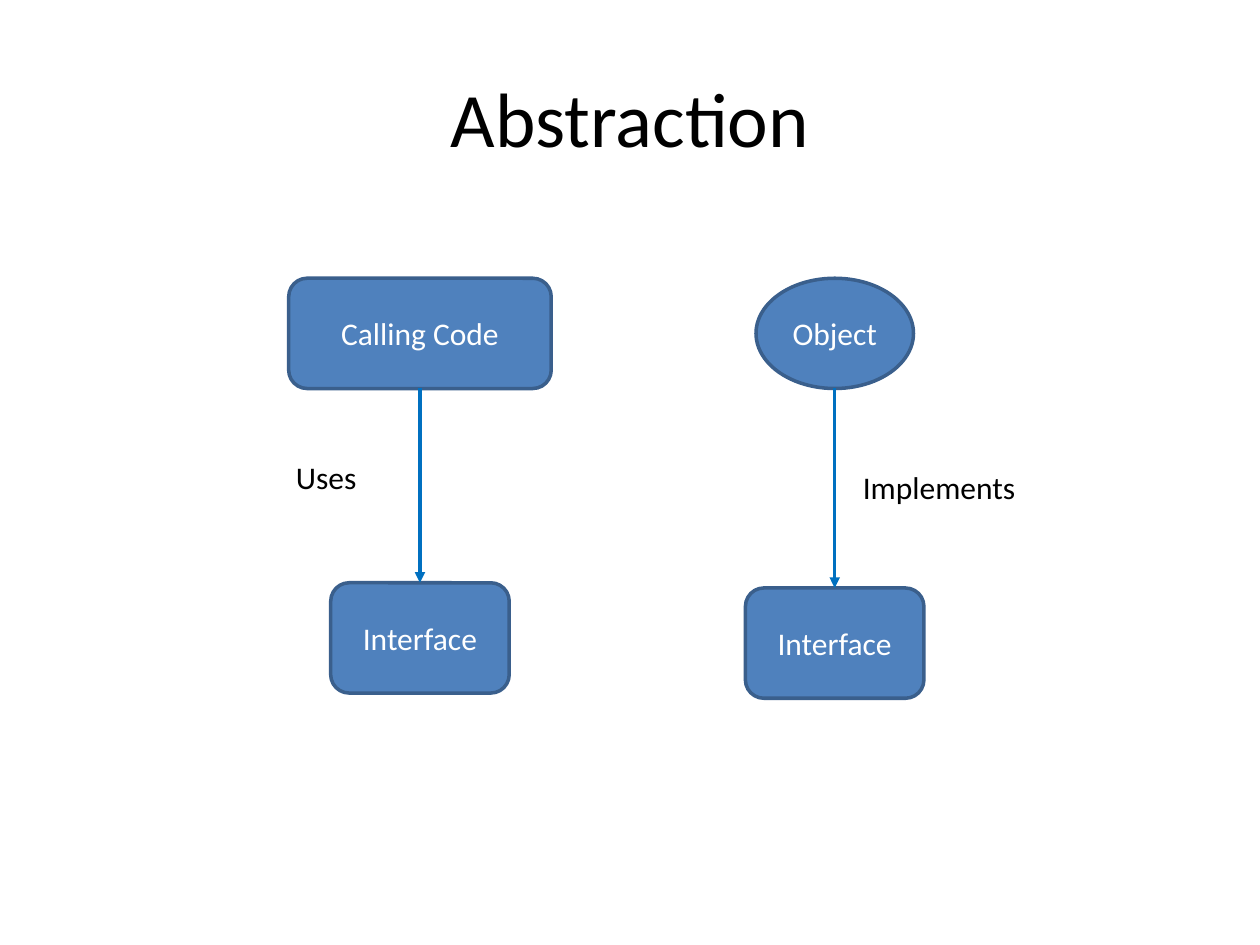
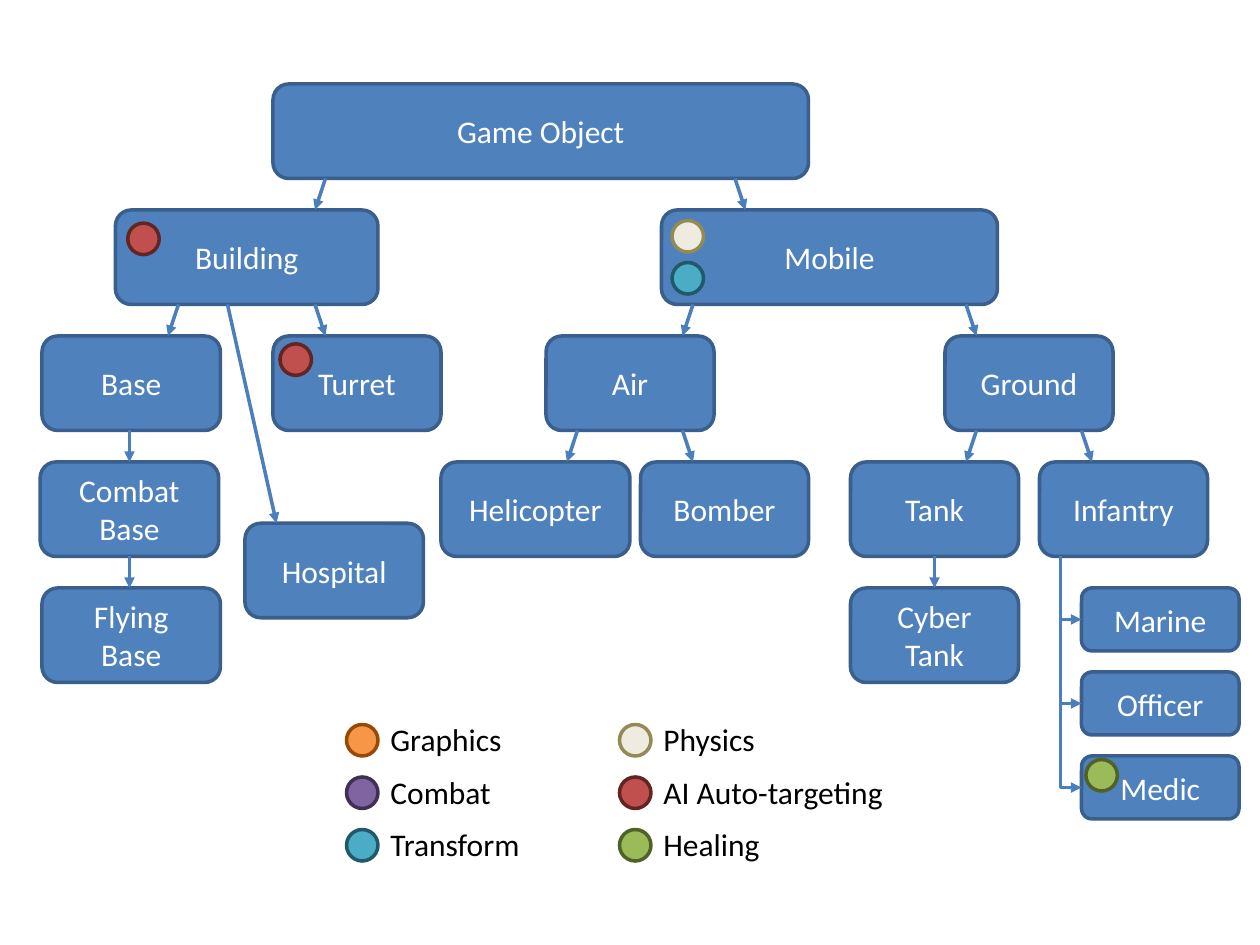
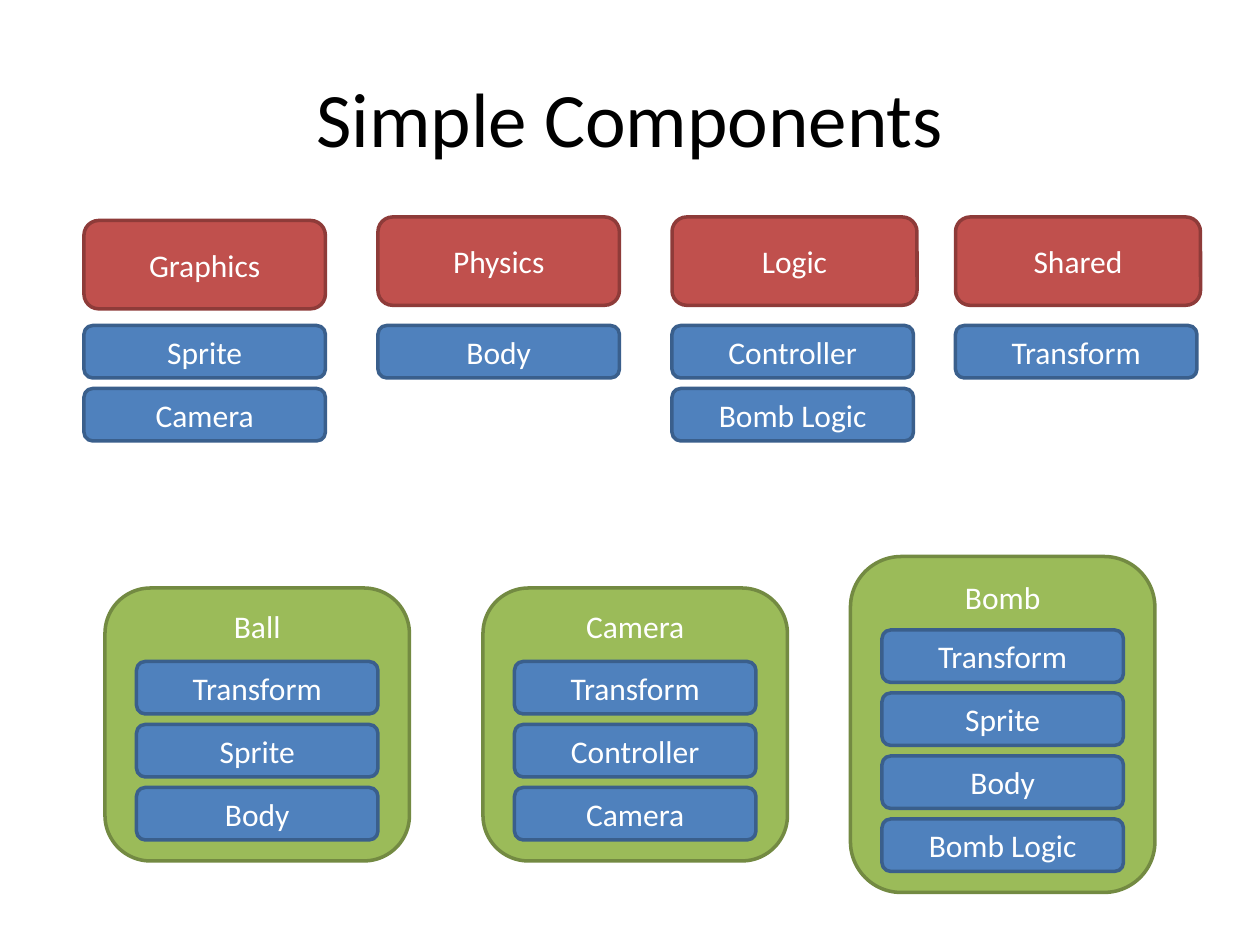
from lxml.etree import SubElement
from pptx import Presentation
from pptx.dml.color import RGBColor
from pptx.enum.shapes import MSO_CONNECTOR, MSO_SHAPE
from pptx.enum.text import MSO_ANCHOR, MSO_AUTO_SIZE, PP_ALIGN
from pptx.oxml.ns import qn
from pptx.util import Pt

FONT = "Calibri"
INK = {"black": "000000", "white": "FFFFFF", "arrow": "4B7EBC", "link": "0070C0"}
FILL = {
    "blue": "4F81BD", "red": "C0504D", "green": "9BBB59",
    "Graphics": "F79646", "Combat": "8064A2", "Transform": "4BACC6",
    "Physics": "EEECE1", "AI Auto-targeting": "C0504D", "Healing": "9BBB59",
}
EDGE = {
    "blue": "3A5F8C", "red": "8E3B39", "green": "738A42",
    "Graphics": "984807", "Combat": "403152", "Transform": "215968",
    "Physics": "948A54", "AI Auto-targeting": "632523", "Healing": "4F6228",
}


def rgb(code):
    return RGBColor.from_string(code)


def write(frame, text, tint="black", size=18, align=None):
    for i, line in enumerate(text.split("\n")):
        para = frame.add_paragraph() if i else frame.paragraphs[0]
        para.alignment = align
        run = para.add_run()
        run.text = line
        run.font.name = FONT
        run.font.size = Pt(size)
        run.font.color.rgb = rgb(INK[tint])


def title(slide, text):
    head = slide.shapes.title
    head.left, head.top, head.width, head.height = Pt(36), Pt(21.6), Pt(648), Pt(90)
    head.text_frame.vertical_anchor = MSO_ANCHOR.MIDDLE
    write(head.text_frame, text, size=44, align=PP_ALIGN.CENTER)


def shape(shapes, kind, x, y, w, h, style):
    item = shapes.add_shape(kind, Pt(x), Pt(y), Pt(w), Pt(h))
    item.shadow.inherit = False
    item.fill.solid()
    item.fill.fore_color.rgb = rgb(FILL[style])
    item.line.color.rgb = rgb(EDGE[style])
    item.line.width = Pt(2)
    return item


def box(shapes, text, x, y, w, h, style="blue", kind=MSO_SHAPE.ROUNDED_RECTANGLE,
        anchor=MSO_ANCHOR.MIDDLE):
    item = shape(shapes, kind, x, y, w, h, style)
    item.text_frame.vertical_anchor = anchor
    write(item.text_frame, text, "white", align=PP_ALIGN.CENTER)


def dot(shapes, x, y, style):
    shape(shapes, MSO_SHAPE.OVAL, x, y, 18, 18, style)


def label(shapes, text, x, y, w, wrap=True):
    frame = shapes.add_textbox(Pt(x), Pt(y), Pt(w), Pt(29)).text_frame
    frame.word_wrap = wrap
    frame.auto_size = MSO_AUTO_SIZE.SHAPE_TO_FIT_TEXT
    write(frame, text)


def arrow(shapes, x1, y1, x2, y2, tint="arrow"):
    line = shapes.add_connector(MSO_CONNECTOR.STRAIGHT, Pt(x1), Pt(y1), Pt(x2), Pt(y2))
    line.line.color.rgb = rgb(INK[tint])
    line.line.width = Pt(2)
    SubElement(line.line._get_or_add_ln(), qn("a:tailEnd"), type="triangle")
    SubElement(line._element.spPr, qn("a:effectLst"))
    return line


def elbow(shapes, x1, y1, x2, y2):
    line = arrow(shapes, x1, y1, x2, y2)
    wide, high = x2 - x1, y2 - y1
    line.left, line.top = Pt((x1 + x2 - high) / 2), Pt((y1 + y2 - wide) / 2)
    line.width, line.height = Pt(high), Pt(wide)
    props = line._element.spPr
    props.find(qn("a:prstGeom")).set("prst", "bentConnector2")
    frame = props.find(qn("a:xfrm"))
    frame.set("rot", "16200000")
    frame.set("flipH", "1")


def stack(shapes, names, x, y):
    for i, name in enumerate(names):
        box(shapes, name, x, y + 36 * i, 138, 30)


def card(shapes, name, parts, x):
    high = 48 + 36 * len(parts)
    top = 414 - high / 2
    group = shapes.add_group_shape().shapes
    box(group, name, x, top, 174, high, "green", anchor=MSO_ANCHOR.TOP)
    stack(group, parts, x + 18, top + 42)


def concept(deck):
    slide = deck.slides.add_slide(deck.slide_layouts[5])
    shapes = slide.shapes
    title(slide, "Abstraction")
    box(shapes, "Calling Code", 165, 159, 150, 63)
    box(shapes, "Object", 432, 159, 90, 63, kind=MSO_SHAPE.OVAL)
    for mid, top in [(240, 333), (477, 336)]:
        box(shapes, "Interface", mid - 51, top, 102, 63)
        arrow(shapes, mid, 222, mid, top, "link")
    label(shapes, "Uses", 162, 258, 50, False)
    label(shapes, "Implements", 486, 264, 103, False)


def tree(deck):
    shapes = deck.slides.add_slide(deck.slide_layouts[6]).shapes
    levels = [
        [("Game Object", 156, 306)],
        [("Building", 66, 150), ("Mobile", 378, 192)],
        [("Base", 24, 102), ("Turret", 156, 96), ("Air", 312, 96), ("Ground", 540, 96)],
        [("Combat\nBase", 23, 102), ("Helicopter", 252, 108), ("Bomber", 366, 96),
         ("Tank", 486, 96), ("Infantry", 594, 96)],
        [("Flying\nBase", 24, 102), ("Cyber\nTank", 486, 96)],
    ]
    for i, level in enumerate(levels):
        for name, x, w in level:
            box(shapes, name, x, 48 + 72 * i, w, 54)
    box(shapes, "Hospital", 140, 299, 102, 54)

    links = [
        [(186, -6), (420, 6)],
        [(102, -6), (180, 6), (396, -6), (552, 6)],
        [(74, 0), (330, -6), (390, 6), (558, -6), (618, 6)],
        [(74, 0), (534, 0)],
    ]
    for i, level in enumerate(links):
        low = 102 + 72 * i
        for x, shift in level:
            arrow(shapes, x, low, x + shift, low + 18)
    arrow(shapes, 130, 174, 158, 299)

    for i, name in enumerate(["Marine", "Officer", "Medic"]):
        top = 336 + 48 * i
        box(shapes, name, 618, top, 90, 36)
        elbow(shapes, 606, 318, 618, top + 18)

    keys = [
        (198, [("Graphics", 84), ("Combat", 84), ("Transform", 96)]),
        (354, [("Physics", 108), ("AI Auto-targeting", 156), ("Healing", 108)]),
    ]
    for x, names in keys:
        for i, (name, w) in enumerate(names):
            y = 414 + 30 * i
            dot(shapes, x, y, name)
            label(shapes, name, x + 18, y - 6, w)

    for x, y, name in [
        (73, 127.5, "AI Auto-targeting"), (160, 196.5, "AI Auto-targeting"),
        (384, 126, "Physics"), (384, 150, "Transform"), (620.5, 434, "Healing"),
    ]:
        dot(shapes, x, y, name)


def parts(deck):
    slide = deck.slides.add_slide(deck.slide_layouts[5])
    shapes = slide.shapes
    title(slide, "Simple Components")
    for name, x, y, w, names in [
        ("Graphics", 48, 126, 138, ["Sprite", "Camera"]),
        ("Physics", 216, 124, 138, ["Body"]),
        ("Logic", 384, 124, 140, ["Controller", "Bomb Logic"]),
        ("Shared", 546, 124, 140, ["Transform"]),
    ]:
        box(shapes, name, x, y, w, 50.5, "red")
        stack(shapes, names, x, 186)
    card(shapes, "Ball", ["Transform", "Sprite", "Body"], 60)
    card(shapes, "Camera", ["Transform", "Controller", "Camera"], 276)
    card(shapes, "Bomb", ["Transform", "Sprite", "Body", "Bomb Logic"], 486)


def main():
    deck = Presentation()
    deck.slide_width, deck.slide_height = Pt(720), Pt(540)
    concept(deck)
    tree(deck)
    parts(deck)
    deck.save("out.pptx")


main()
